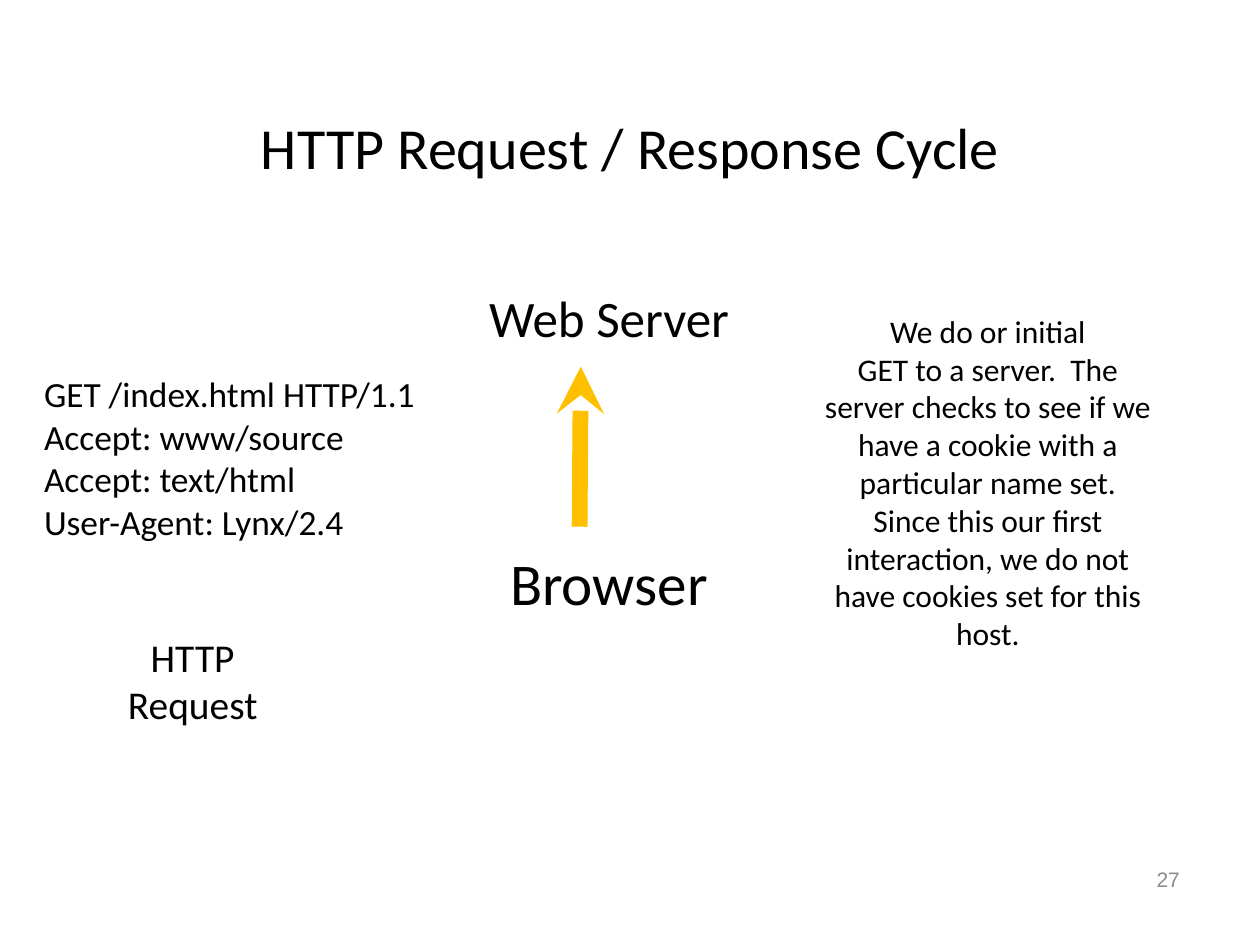
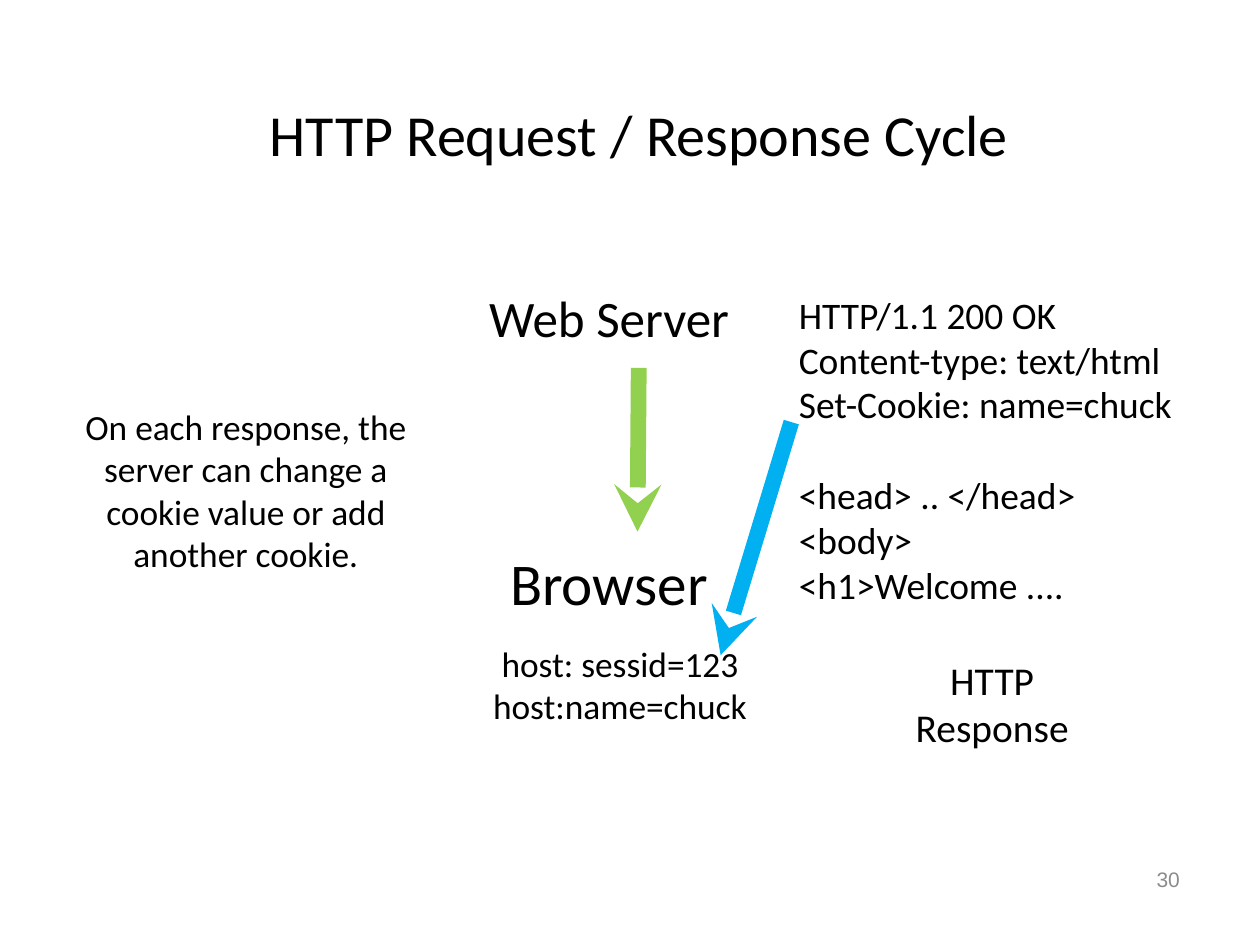
from dataclasses import dataclass
from lxml import etree
from pptx import Presentation
from pptx.dml.color import RGBColor
from pptx.enum import shapes, text
from pptx.oxml.ns import qn
from pptx.util import Pt

LEFT, MID = text.PP_ALIGN.LEFT, text.PP_ALIGN.CENTER


@dataclass(frozen=True)
class Theme:
    font: str = "Calibri"
    foot: str = "Arial"
    ink: str = "000000"
    paper: str = "FFFFFF"
    grey: str = "8C8C8C"
    gold: str = "FFC000"
    green: str = "92D050"
    blue: str = "00B0F0"
    title: float = 33.2
    client: float = 33.8
    server: float = 29.2
    label: float = 22.5
    reply: float = 21.4
    code: float = 20.2
    note: float = 18
    page: float = 12
    stroke: float = 9


T = Theme()


def color(code):
    return RGBColor.from_string(code)


def place(shape, box):
    for name, value in zip(("left", "top", "width", "height"), box):
        setattr(shape, name, Pt(value))


def write(frame, lines, size, align=MID, font=T.font, ink=T.ink):
    """Fill a frame with one paragraph per line."""
    for i, line in enumerate(lines):
        par = frame.paragraphs[0] if i == 0 else frame.add_paragraph()
        par.alignment = align
        run = par.add_run()
        run.text = line
        for name, value in {"name": font, "size": Pt(size)}.items():
            setattr(run.font, name, value)
        run.font.color.rgb = color(ink)


def tight(frame, wrap):
    """Centre the text vertically and drop the insets."""
    form = {f"margin_{side}": 0 for side in ("left", "top", "right", "bottom")}
    form.update(word_wrap=wrap, vertical_anchor=text.MSO_ANCHOR.MIDDLE)
    for name, value in form.items():
        setattr(frame, name, value)


def block(slide, box, lines, size, align=MID, wrap=True):
    shape = slide.shapes.add_textbox(*map(Pt, box))
    tight(shape.text_frame, wrap)
    write(shape.text_frame, lines, size, align)
    return shape


def host(slide, box, name, size):
    shape = slide.shapes.add_shape(shapes.MSO_SHAPE.RECTANGLE, *map(Pt, box))
    shape.shadow.inherit = False
    shape.fill.solid()
    shape.fill.fore_color.rgb = color(T.paper)
    shape.line.fill.background()
    tight(shape.text_frame, False)
    write(shape.text_frame, [name], size)


def hosts(slide, box):
    """Put the server at the top of the box and the browser at its foot."""
    x, y, w, h = box
    for name, size, wide, high, top in (
        ("Browser", T.client, 114, 41, y + h - 41),
        ("Web Server", T.server, w, 35.3, y),
    ):
        host(slide, (x + (w - wide) / 2, top, wide, high), name, size)


def arrow(slide, start, tip, ink):
    line = slide.shapes.add_connector(
        shapes.MSO_CONNECTOR.STRAIGHT, *map(Pt, start + tip))
    line.line.width = Pt(T.stroke)
    line.line.color.rgb = color(ink)
    stroke = line.line._get_or_add_ln()
    etree.SubElement(stroke, qn("a:tailEnd"), type="stealth")
    etree.SubElement(line._element.spPr, qn("a:effectLst"))


def label(slide, box, kind):
    block(slide, box, ["HTTP", kind], T.label, wrap=False)


def base(deck, spot, page):
    """Start a slide with its title, the two hosts and the page number."""
    slide = deck.slides.add_slide(deck.slide_layouts[5])
    title = slide.shapes.title
    place(title, (*spot, 638.6, 80.6))
    frame = title.text_frame
    frame.auto_size = text.MSO_AUTO_SIZE.NONE
    frame.vertical_anchor = text.MSO_ANCHOR.MIDDLE
    write(frame, ["HTTP Request / Response Cycle"], T.title)
    hosts(slide, (278.6, 163.4, 139, 189.4))
    foot = slide.shapes.add_textbox(*map(Pt, (653.8, 491.8, 41.8, 36)))
    foot.text_frame.word_wrap = True
    write(foot.text_frame, [page], T.page, LEFT, T.foot, T.grey)
    return slide


def request(deck):
    slide = base(deck, (41, 43.2), "27")
    block(slide, (25.2, 213.1, 309.6, 96.5), [
        "GET /index.html HTTP/1.1",
        "Accept: www/source",
        "Accept: text/html",
        "User-Agent: Lynx/2.4",
    ], T.code, LEFT)
    arrow(slide, (331.2, 301), (331.9, 209.5), T.gold)
    label(slide, (72.7, 361.4, 74.9, 54.7), "Request")
    block(slide, (466.6, 169.2, 195.8, 212.4), [
        "We do or initial",
        "GET to a server.  The server checks to see if we have a cookie "
        "with a particular name set.",
        "Since this our first interaction, we do not have cookies set "
        "for this host.",
    ], T.note)


def response(deck):
    slide = base(deck, (46.1, 36), "30")
    arrow(slide, (365, 210.2), (364.3, 303.8), T.green)
    label(slide, (522.7, 374.4, 88.6, 54.7), "Response")
    reply = block(slide, (456.5, 167.8, 244.1, 177.8), [
        "HTTP/1.1 200 OK",
        "Content-type: text/html",
        "Set-Cookie: name=chuck",
        "<head> .. </head>",
        "<body>",
        "<h1>Welcome ....",
    ], T.reply, LEFT)
    reply.text_frame.paragraphs[3].space_before = Pt(26)
    block(slide, (280.8, 366.5, 146.9, 49),
          ["host: sessid=123", "host:name=chuck"], T.code, wrap=False)
    arrow(slide, (452.2, 241.2), (411.8, 374.4), T.blue)
    block(slide, (42.5, 231.8, 195.8, 96.5), [
        "On each response, the server can change a cookie value or add "
        "another cookie.",
    ], T.code)


def main():
    deck = Presentation()
    deck.slide_width, deck.slide_height = Pt(720), Pt(540)
    request(deck)
    response(deck)
    deck.save("out.pptx")


if __name__ == "__main__":
    main()
